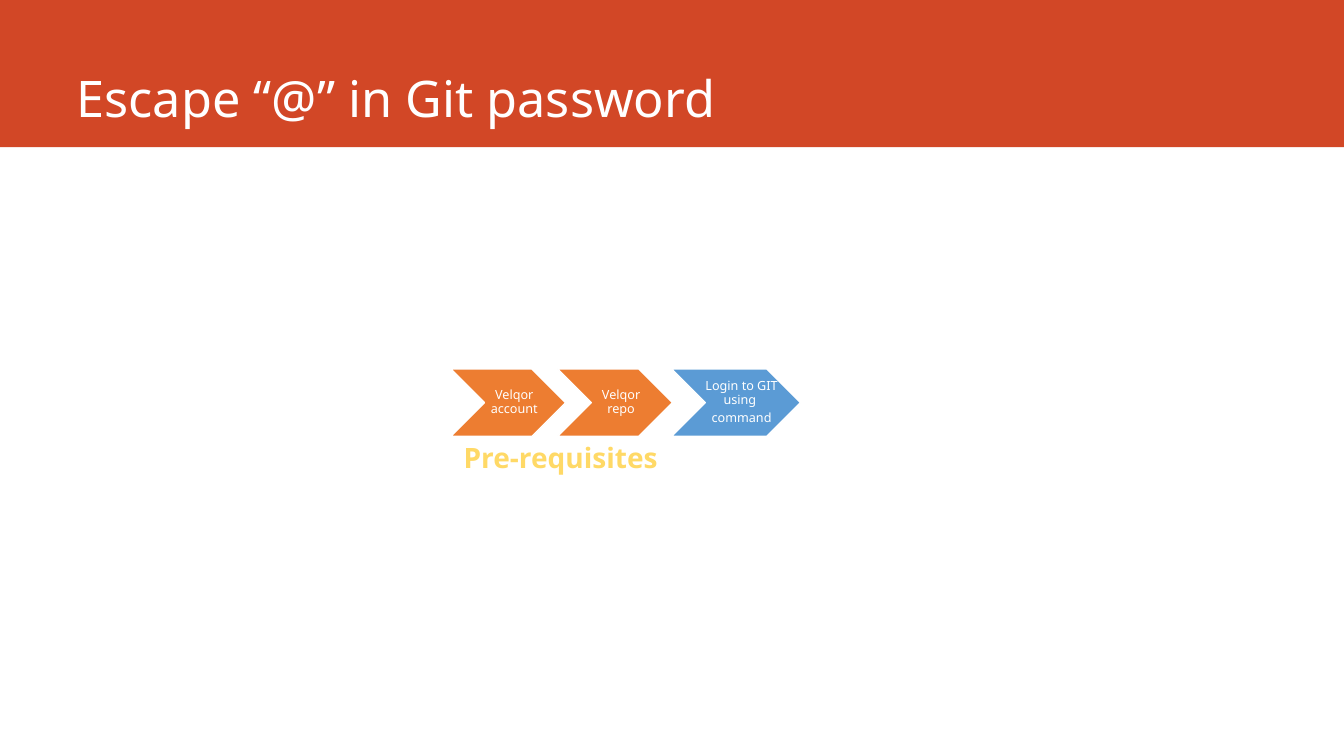
from pptx import Presentation
from pptx.dml.color import RGBColor
from pptx.enum.shapes import MSO_SHAPE as SHAPE
from pptx.enum.text import MSO_ANCHOR as ANCHOR, MSO_AUTO_SIZE as AUTO, PP_ALIGN as ALIGN
from pptx.util import Inches, Pt

FONT = "Noto Sans"
WHITE, RED, ORANGE, BLUE, GOLD = "FFFFFF", "D24726", "ED7D31", "5B9BD5", "FFD966"


def add_shape(kind, x, y, w, h, fill):
    """Add a filled preset shape without shadow."""
    sp = s.shapes.add_shape(kind, Inches(x), Inches(y), Inches(w), Inches(h))
    sp.shadow.inherit = False
    sp.fill.solid()
    sp.fill.fore_color.rgb = RGBColor.from_string(fill)
    return sp


def add_run(p, text, size, color, align, bold=False):
    """Add a formatted run to an aligned paragraph."""
    p.alignment = align
    r = p.add_run()
    r.text = text
    r.font.name, r.font.size, r.font.bold = FONT, Pt(size), bold
    r.font.color.rgb = RGBColor.from_string(color)


prs = Presentation()
prs.slide_width, prs.slide_height = Inches(13.33), Inches(7.5)
s = prs.slides.add_slide(prs.slide_layouts[5])

# Title on its band
band = add_shape(SHAPE.RECTANGLE, 0, 0, 13.33, 1.46, RED)
band.line.fill.background()
title = s.shapes.title
band._element.addnext(title._element)
title.left, title.top = Inches(0.66), Inches(0)
title.width, title.height = Inches(11.76), Inches(1.32)
tf = title.text_frame
tf.auto_size, tf.vertical_anchor = AUTO.NONE, ANCHOR.BOTTOM
add_run(tf.paragraphs[0], "Escape “@” in Git password", 36, WHITE, ALIGN.LEFT)

# Process steps: chevron left and width, label left and width, colour, lines
top, height = 3.66, 0.67
steps = [
    (4.47, 1.14, 4.51, 0.99, ORANGE, ["Velqor account"]),
    (5.53, 1.14, 5.57, 0.99, ORANGE, ["Velqor repo"]),
    (6.66, 1.28, 6.59, 1.34, BLUE, ["Login to GIT using ", "command"]),
]
for x, w, label_x, label_w, color, lines in steps:
    chevron = add_shape(SHAPE.CHEVRON, x, top, w, height, color)
    chevron.line.color.rgb = RGBColor.from_string(WHITE)
    chevron.line.width = Pt(1)
    label = s.shapes.add_textbox(Inches(label_x), Inches(top), Inches(label_w), Inches(height))
    tf = label.text_frame
    tf.word_wrap, tf.vertical_anchor = True, ANCHOR.MIDDLE
    tf.margin_left = Inches(0.28)
    tf.margin_top = tf.margin_right = tf.margin_bottom = Inches(0.09)
    for i, line in enumerate(lines):
        p = tf.add_paragraph() if i else tf.paragraphs[0]
        p.line_spacing, p.space_after = 0.9, Pt(3)
        add_run(p, line, 9, WHITE, ALIGN.CENTER)

# Caption under the steps
caption = s.shapes.add_textbox(Inches(3.5), Inches(4.32), Inches(4.12), Inches(0.44))
tf = caption.text_frame
tf.word_wrap, tf.auto_size = True, AUTO.SHAPE_TO_FIT_TEXT
add_run(tf.paragraphs[0], "Pre-requisites", 20, GOLD, ALIGN.CENTER, bold=True)

prs.save("out.pptx")
